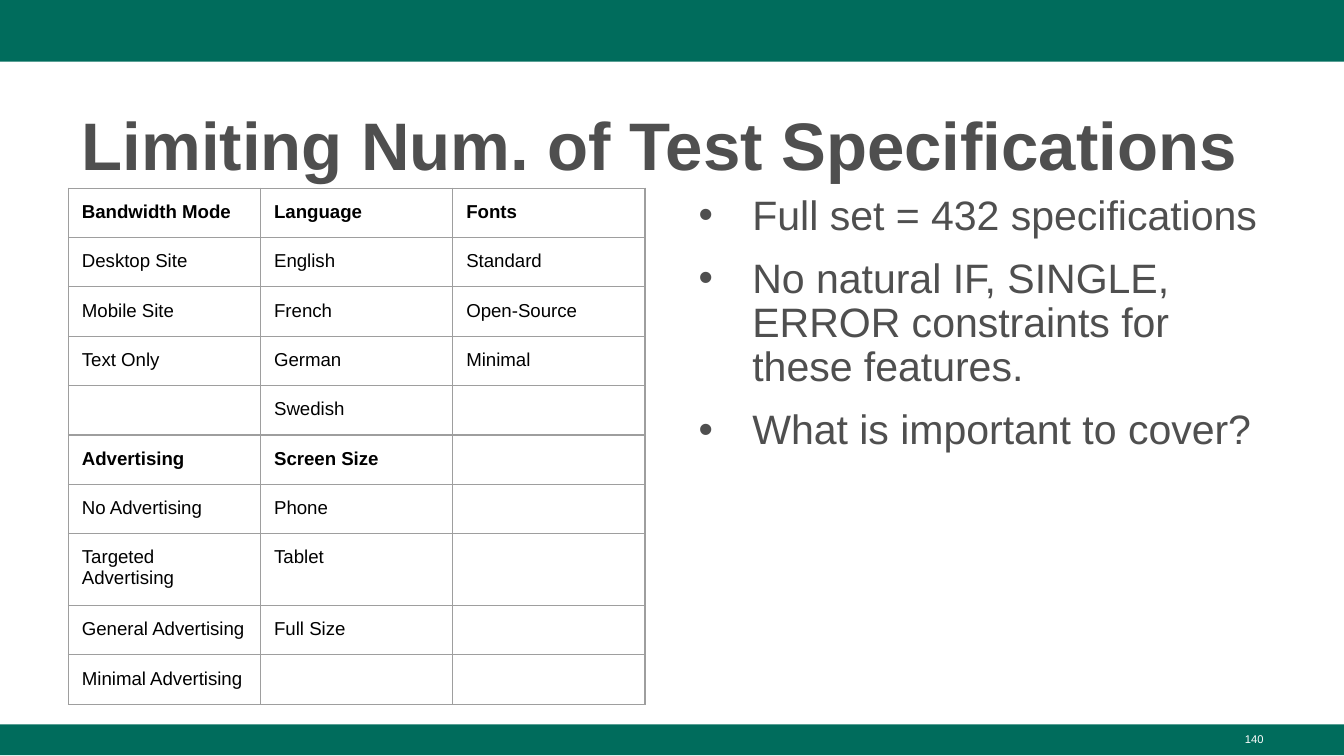
"""Build the slide on limiting the number of test specifications."""
import pptx
import pptx.util
import pptx.dml.color
import pptx.enum.shapes
import pptx.enum.text
from lxml import etree
from pptx.oxml.ns import qn

Inches, Pt = pptx.util.Inches, pptx.util.Pt
ANCHOR, ALIGN = pptx.enum.text.MSO_ANCHOR, pptx.enum.text.PP_ALIGN

GREEN, GREY, BLACK, WHITE, RULE = "006C5C", "4F4F4F", "000000", "FFFFFF", "9E9E9E"
TITLE = "Limiting Num. of Test Specifications"
PAGE = "140"
POINTS = [
    "Full set = 432 specifications",
    "No natural IF, SINGLE, ERROR constraints for these features.",
    "What is important to cover?",
]
FEATURES = [
    ("Bandwidth Mode", "Language", "Fonts"),
    ("Desktop Site", "English", "Standard"),
    ("Mobile Site", "French", "Open-Source"),
    ("Text Only", "German", "Minimal"),
    ("", "Swedish", ""),
    ("Advertising", "Screen Size", ""),
    ("No Advertising", "Phone", ""),
    ("Targeted Advertising", "Tablet", ""),
    ("General Advertising", "Full Size", ""),
    ("Minimal Advertising", "", ""),
]
HEADING_ROWS = (0, 5)
BANDS = [(0, 0.46), (5.39, 0.23)]
SLIDE_WIDTH = 10
SLIDE_HEIGHT = SLIDE_WIDTH * 9 / 16
COLUMN_WIDTH, ROW_HEIGHT, FRAME_SIDE = 1.43, 0.32, 3.28


def rgb(value):
    return pptx.dml.color.RGBColor.from_string(value)


def add_run(paragraph, text, size, color, bold=False):
    run = paragraph.add_run()
    run.text = text
    font = run.font
    font.name, font.size, font.bold = "Arial", Pt(size), bold
    font.color.rgb = rgb(color)


def add_frame(slide, left, top, width, height, anchor=ANCHOR.TOP):
    box = slide.shapes.add_textbox(*map(Inches, (left, top, width, height)))
    frame = box.text_frame
    frame.word_wrap = True
    frame.vertical_anchor = anchor
    return frame


def add_bullet(paragraph):
    properties = paragraph._p.get_or_add_pPr()
    properties.set("marL", str(Inches(0.5)))
    properties.set("indent", str(Inches(-0.4)))
    color = etree.SubElement(properties, qn("a:buClr"))
    etree.SubElement(color, qn("a:srgbClr"), val=GREY)
    etree.SubElement(properties, qn("a:buFont"), typeface="Arial")
    etree.SubElement(properties, qn("a:buChar"), char="•")


def add_borders(cell):
    properties = cell._tc.get_or_add_tcPr()
    for position, side in enumerate(("lnL", "lnR", "lnT", "lnB")):
        line = etree.Element(qn(f"a:{side}"), w=str(Pt(0.75)))
        fill = etree.SubElement(line, qn("a:solidFill"))
        etree.SubElement(fill, qn("a:srgbClr"), val=RULE)
        properties.insert(position, line)


def fill_cell(cell, text, bold):
    cell.margin_left = cell.margin_right = Inches(0.1)
    cell.margin_top = cell.margin_bottom = Inches(0.1)
    cell.fill.background()
    add_borders(cell)
    paragraph = cell.text_frame.paragraphs[0]
    if text:
        add_run(paragraph, text, 10, BLACK, bold)
    else:
        etree.SubElement(paragraph._p, qn("a:endParaRPr"), sz="1000")


def add_features(slide):
    side = Inches(FRAME_SIDE)
    frame = slide.shapes.add_table(
        len(FEATURES), len(FEATURES[0]), Inches(0.51), Inches(1.4), side, side)
    table = frame.table
    table.first_row = table.horz_banding = False
    for column in table.columns:
        column.width = Inches(COLUMN_WIDTH)
    for r, values in enumerate(FEATURES):
        table.rows[r].height = Inches(ROW_HEIGHT)
        for c, value in enumerate(values):
            fill_cell(table.cell(r, c), value, r in HEADING_ROWS)
    frame.width = frame.height = side


def main():
    deck = pptx.Presentation()
    deck.slide_width, deck.slide_height = Inches(SLIDE_WIDTH), Inches(SLIDE_HEIGHT)
    slide = deck.slides.add_slide(deck.slide_layouts[6])

    for top, height in BANDS:
        band = slide.shapes.add_shape(
            pptx.enum.shapes.MSO_SHAPE.RECTANGLE,
            0, Inches(top), Inches(SLIDE_WIDTH), Inches(height))
        band.shadow.inherit = False
        band.fill.solid()
        band.fill.fore_color.rgb = rgb(GREEN)
        band.line.fill.background()

    page = add_frame(slide, 7.17, 5.4, 2.33, 0.23).paragraphs[0]
    page.alignment = ALIGN.RIGHT
    add_run(page, PAGE, 6, WHITE)

    heading = add_frame(slide, 0.51, 0.67, 8.99, 0.73, ANCHOR.BOTTOM)
    heading.margin_bottom = Inches(0.03)
    title = heading.paragraphs[0]
    title.line_spacing = 1.08
    add_run(title, TITLE, 36, GREY, True)

    body = add_frame(slide, 5, 1.4, 4.5, 3.81)
    for i, point in enumerate(POINTS):
        paragraph = body.add_paragraph() if i else body.paragraphs[0]
        paragraph.line_spacing = 0.9
        paragraph.space_before = Pt(10 if i else 0)
        add_bullet(paragraph)
        add_run(paragraph, point, 22, GREY)

    add_features(slide)
    deck.save("out.pptx")


if __name__ == "__main__":
    main()
